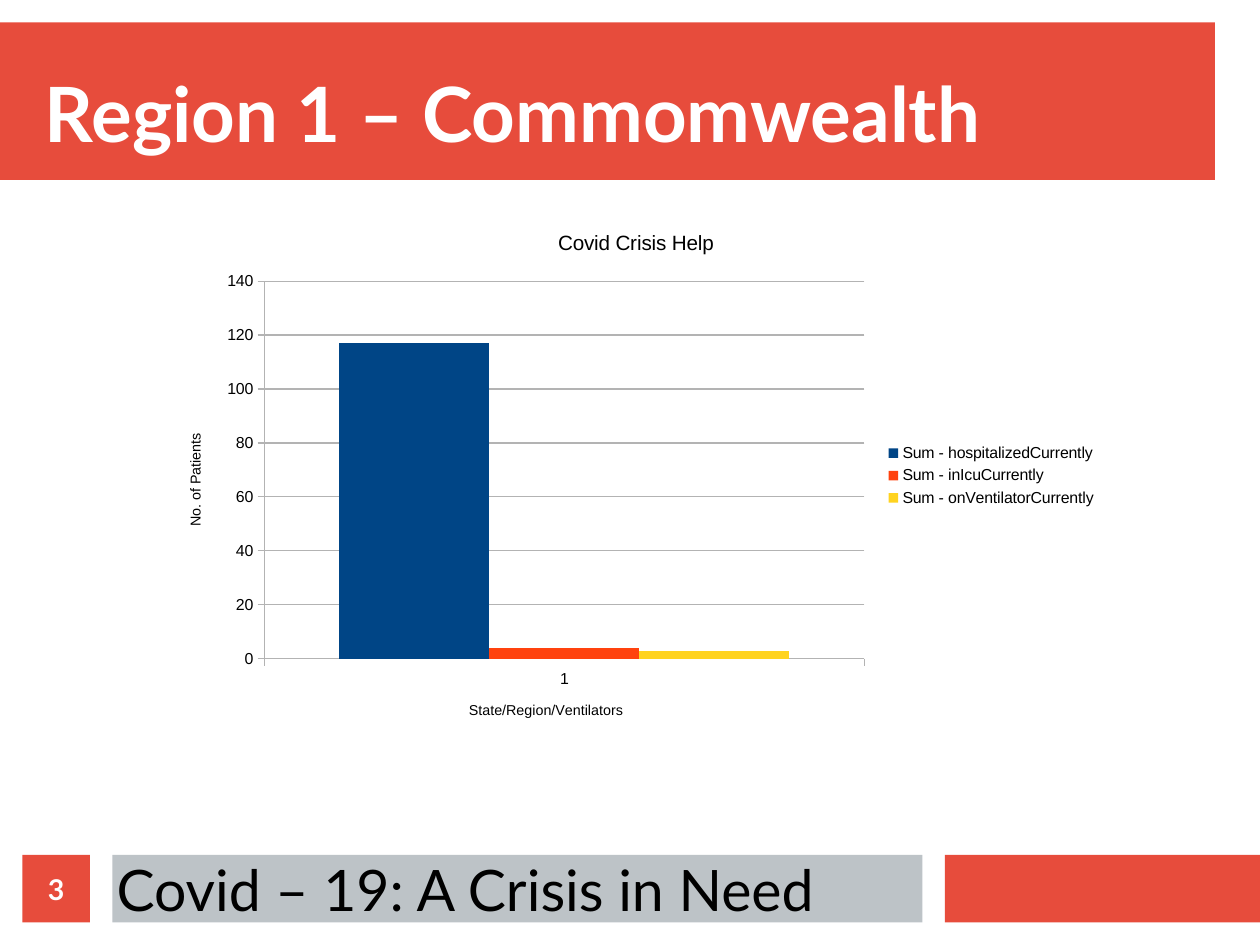
from lxml import etree
from pptx import Presentation
from pptx import util as u
from pptx.chart.data import CategoryChartData
from pptx.dml.color import RGBColor
from pptx.enum import chart as ch, shapes, text
from pptx.oxml import ns

# All lengths are centimetres.
WIDTH, HEIGHT = 28, 21
COLORS = {"red": "E74C3C", "grey": "BDC3C7", "white": "FFFFFF", "black": "000000",
          "axis": "B3B3B3", "hospital": "004586", "icu": "FF420E", "ventilator": "FFD320"}

TITLE = "Region 1 – Commomwealth"
FOOTER = "Covid – 19: A Crisis in Need"
PAGE = "3"
CHART_TITLE = "Covid Crisis Help"
CATEGORY_TITLE, VALUE_TITLE = "State/Region/Ventilators", "No. of Patients"
CATEGORIES = ["1"]
SERIES = [
    ("Sum - hospitalizedCurrently", [117], "hospital"),
    ("Sum - inIcuCurrently", [4], "icu"),
    ("Sum - onVentilatorCurrently", [3], "ventilator"),
]
PLOT_SHARES = {"x": 0.107, "y": 0.135, "w": 0.635, "h": 0.709}

GAP = 0.5
BAND = 1.5
BAND_TOP = HEIGHT - GAP - BAND
FOOTER_LEFT = 2 * GAP + BAND
FOOTER_WIDTH = 18
CORNER_LEFT = FOOTER_LEFT + FOOTER_WIDTH + GAP


def lengths(box):
    return [u.Cm(length) for length in box]


def rgb(name):
    return RGBColor.from_string(COLORS[name])


def style_font(font, size, color="black", name="Arial", bold=False):
    font.size, font.name, font.bold = u.Pt(size), name, bold
    font.color.rgb = rgb(color)


def add_block(slide, box, color):
    block = slide.shapes.add_shape(shapes.MSO_SHAPE.RECTANGLE, *lengths(box))
    block.shadow.inherit = False
    block.fill.solid()
    block.fill.fore_color.rgb = rgb(color)
    block.line.fill.background()
    return block


def write(shape, words, size, color, bold, anchor, align, insets):
    frame = shape.text_frame
    frame.word_wrap = True
    frame.vertical_anchor = anchor
    frame.margin_left = frame.margin_right = u.Cm(insets[0])
    frame.margin_top = frame.margin_bottom = u.Cm(insets[1])
    paragraph = frame.paragraphs[0]
    paragraph.alignment = align
    run = paragraph.add_run()
    run.text = words
    style_font(run.font, size, color, "Lato", bold)


def write_title(title, words, size):
    run = title.text_frame.paragraphs[0].add_run()
    run.text = words
    style_font(run.font, size)


def style_axis(axis, words, gridlines):
    write_title(axis.axis_title, words, 9)
    axis.has_major_gridlines = gridlines
    axis.major_tick_mark = ch.XL_TICK_MARK.OUTSIDE
    axis.minor_tick_mark = ch.XL_TICK_MARK.NONE
    style_font(axis.tick_labels.font, 10)
    lines = [axis.format.line] + ([axis.major_gridlines.format.line] if gridlines else [])
    for line in lines:
        line.color.rgb = rgb("axis")
        line.width = u.Pt(0)


def place_plot(chart):
    """Fix the inner plot area as shares of the chart."""
    area = chart.element.find(".//" + ns.qn("c:plotArea"))
    for old in area.findall(ns.qn("c:layout")):
        area.remove(old)
    layout = etree.Element(ns.qn("c:layout"))
    manual = etree.SubElement(layout, ns.qn("c:manualLayout"))
    settings = {"layoutTarget": "inner", "xMode": "edge", "yMode": "edge", **PLOT_SHARES}
    for tag, value in settings.items():
        etree.SubElement(manual, ns.qn("c:" + tag)).set("val", str(value))
    area.insert(0, layout)


def add_patient_chart(slide, box):
    data = CategoryChartData()
    data.categories = CATEGORIES
    for name, values, _ in SERIES:
        data.add_series(name, values)
    chart = slide.shapes.add_chart(ch.XL_CHART_TYPE.COLUMN_CLUSTERED, *lengths(box), data).chart
    style_font(chart.font, 10)
    write_title(chart.chart_title, CHART_TITLE, 13)
    chart.has_legend = True
    chart.legend.position = ch.XL_LEGEND_POSITION.RIGHT
    chart.legend.include_in_layout = False
    style_font(chart.legend.font, 10)
    style_axis(chart.category_axis, CATEGORY_TITLE, False)
    style_axis(chart.value_axis, VALUE_TITLE, True)
    chart.value_axis.minimum_scale = 0
    chart.value_axis.maximum_scale = 140
    chart.value_axis.major_unit = 20
    plot = chart.plots[0]
    plot.gap_width, plot.overlap, plot.vary_by_categories = 100, 0, False
    for series, (_, _, color) in zip(plot.series, SERIES):
        series.format.fill.solid()
        series.format.fill.fore_color.rgb = rgb(color)
    place_plot(chart)


def main():
    presentation = Presentation()
    presentation.slide_width = u.Cm(WIDTH)
    presentation.slide_height = u.Cm(HEIGHT)
    slide = presentation.slides.add_slide(presentation.slide_layouts[6])
    anchor, align = text.MSO_ANCHOR, text.PP_ALIGN

    add_block(slide, (0, GAP, WIDTH - 2 * GAP, 3.5), "red")
    add_block(slide, (CORNER_LEFT, BAND_TOP, WIDTH - CORNER_LEFT, BAND), "red")
    add_block(slide, (FOOTER_LEFT, BAND_TOP, FOOTER_WIDTH, BAND), "grey")

    title = slide.shapes.add_textbox(*lengths((1, 1, 26, 2.5)))
    write(title, TITLE, 48, "white", True, anchor.BOTTOM, align.LEFT, (0, 0))
    footer = slide.shapes.add_textbox(*lengths((2.34, 18.85, 19.25, 2.39)))
    write(footer, FOOTER, 36, "black", False, anchor.TOP, align.LEFT, (0.25, 0.13))

    add_patient_chart(slide, (3.63, 4.65, 21, 11.84))

    page = add_block(slide, (GAP, BAND_TOP, BAND, BAND), "red")
    write(page, PAGE, 18, "white", True, anchor.MIDDLE, align.CENTER, (0, 0))
    presentation.save("out.pptx")


if __name__ == "__main__":
    main()
